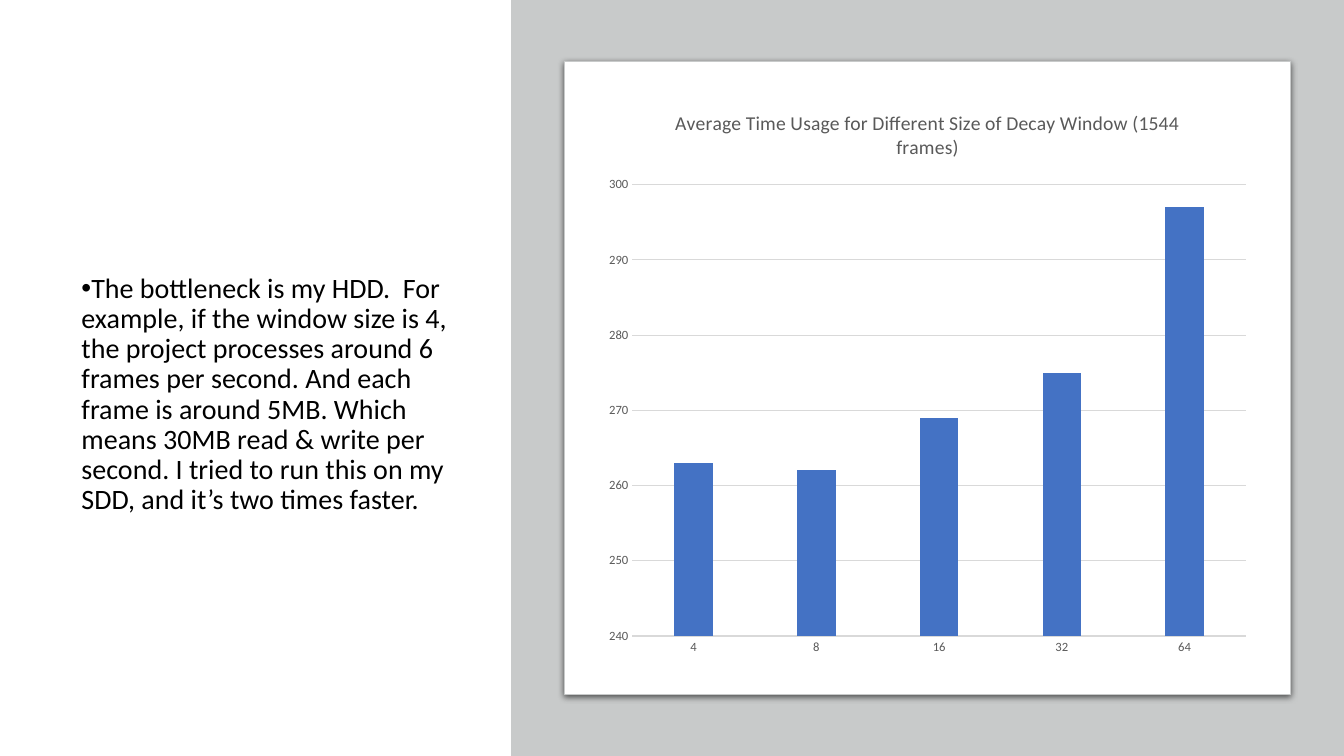
from lxml.etree import SubElement
from pptx import Presentation
from pptx.chart.data import CategoryChartData
from pptx.dml.color import RGBColor
from pptx.enum.chart import XL_CHART_TYPE, XL_TICK_MARK
from pptx.enum.shapes import MSO_SHAPE
from pptx.oxml import parse_xml
from pptx.oxml.ns import nsdecls, qn
from pptx.util import Inches, Pt

BLACK = RGBColor(0x00, 0x00, 0x00)
WHITE = RGBColor(0xFF, 0xFF, 0xFF)
PANEL_GRAY = RGBColor(0xC8, 0xCA, 0xCA)
GRID_GRAY = RGBColor(0xD9, 0xD9, 0xD9)
LABEL_GRAY = RGBColor(0x59, 0x59, 0x59)
BAR_BLUE = RGBColor(0x44, 0x72, 0xC4)
FONT_NAME = "Calibri"

NOTE = (
    "The bottleneck is my HDD.  For example, if the window size is 4, "
    "the project processes around 6 frames per second. And each frame is "
    "around 5MB. Which means 30MB read & write per second. I tried to run "
    "this on my SDD, and it’s two times faster."
)
CHART_TITLE = "Average Time Usage for Different Size of Decay Window (1544 frames)"
WINDOW_TIMES = {"4": 263, "8": 262, "16": 269, "32": 275, "64": 297}


def apply_format(target, values):
    """Set each named attribute of the target."""
    for name, value in values.items():
        setattr(target, name, value)


def style_font(font, size, color):
    """Give a font its name, size and colour."""
    apply_format(font, {"name": FONT_NAME, "size": Pt(size), "bold": False})
    font.fill.solid()
    font.fill.fore_color.rgb = color


def style_line(line, color):
    """Draw a thin line in one colour."""
    line.color.rgb = color
    line.width = Pt(0.75)


def add_panel(page, kind, bounds, color):
    """Add a plain filled shape without line or shadow."""
    panel = page.shapes.add_shape(kind, *map(Inches, bounds))
    panel.shadow.inherit = False
    panel.fill.solid()
    panel.fill.fore_color.rgb = color
    panel.line.fill.background()
    return panel


def add_card(page, bounds):
    """Add the white card with a soft shadow below it."""
    card = add_panel(page, MSO_SHAPE.ROUNDED_RECTANGLE, bounds, WHITE)
    card.adjustments[0] = 0
    style_line(card.line, PANEL_GRAY)
    effects = card._element.spPr.find(qn("a:effectLst"))
    effects.append(parse_xml(
        f'<a:outerShdw {nsdecls("a")} blurRad="{Pt(4.5)}" dist="{Pt(1.5)}" '
        'dir="5400000" algn="t" rotWithShape="0"><a:srgbClr val="000000">'
        '<a:alpha val="63000"/></a:srgbClr></a:outerShdw>'
    ))


def add_note(page, bounds, text):
    """Add a wrapped text box with one bulleted paragraph."""
    box = page.shapes.add_textbox(*map(Inches, bounds))
    box.text_frame.word_wrap = True
    para = box.text_frame.paragraphs[0]
    apply_format(para, {"line_spacing": 0.9, "space_after": Pt(6)})
    span = para.add_run()
    span.text = text
    style_font(span.font, 20, BLACK)
    properties = para._p.get_or_add_pPr()
    properties.set("marL", "0")
    properties.set("indent", str(-Inches(0.25)))
    SubElement(properties, qn("a:buFont"), typeface="Arial")
    SubElement(properties, qn("a:buChar"), char="•")


def style_axis(axis):
    """Hide tick marks and style the labels of an axis."""
    apply_format(axis, {"major_tick_mark": XL_TICK_MARK.NONE,
                        "minor_tick_mark": XL_TICK_MARK.NONE})
    style_font(axis.tick_labels.font, 9, LABEL_GRAY)


def add_time_chart(page, bounds):
    """Add the column chart of time by window size."""
    data = CategoryChartData()
    data.categories = list(WINDOW_TIMES)
    data.add_series("Series 1", list(WINDOW_TIMES.values()))
    chart = page.shapes.add_chart(
        XL_CHART_TYPE.COLUMN_CLUSTERED, *map(Inches, bounds), data).chart
    style_font(chart.font, 10, BLACK)
    apply_format(chart, {"has_legend": False, "has_title": True})
    title = chart.chart_title
    title.include_in_layout = False
    title.text_frame.text = CHART_TITLE
    style_font(title.text_frame.paragraphs[0].runs[0].font, 14, LABEL_GRAY)

    plot = chart.plots[0]
    apply_format(plot, {"gap_width": 219, "overlap": -27, "vary_by_categories": False})
    bars = plot.series[0].format.fill
    bars.solid()
    bars.fore_color.rgb = BAR_BLUE

    style_axis(chart.category_axis)
    style_line(chart.category_axis.format.line, GRID_GRAY)
    values = chart.value_axis
    style_axis(values)
    apply_format(values, {"minimum_scale": 240, "maximum_scale": 300,
                          "major_unit": 10, "has_major_gridlines": True})
    values.format.line.fill.background()
    style_line(values.major_gridlines.format.line, GRID_GRAY)


def main():
    """Build the slide and save the deck."""
    deck = Presentation()
    apply_format(deck, {"slide_width": Inches(13.33), "slide_height": Inches(7.5)})
    page = deck.slides.add_slide(deck.slide_layouts[6])
    add_note(page, (0.71, 2.67, 3.83, 4.14), NOTE)
    add_panel(page, MSO_SHAPE.RECTANGLE, (5.07, 0, 8.26, 7.5), PANEL_GRAY)
    add_card(page, (5.6, 0.61, 7.2, 6.28))
    add_time_chart(page, (5.91, 0.88, 6.58, 5.73))
    deck.save("out.pptx")


if __name__ == "__main__":
    main()
